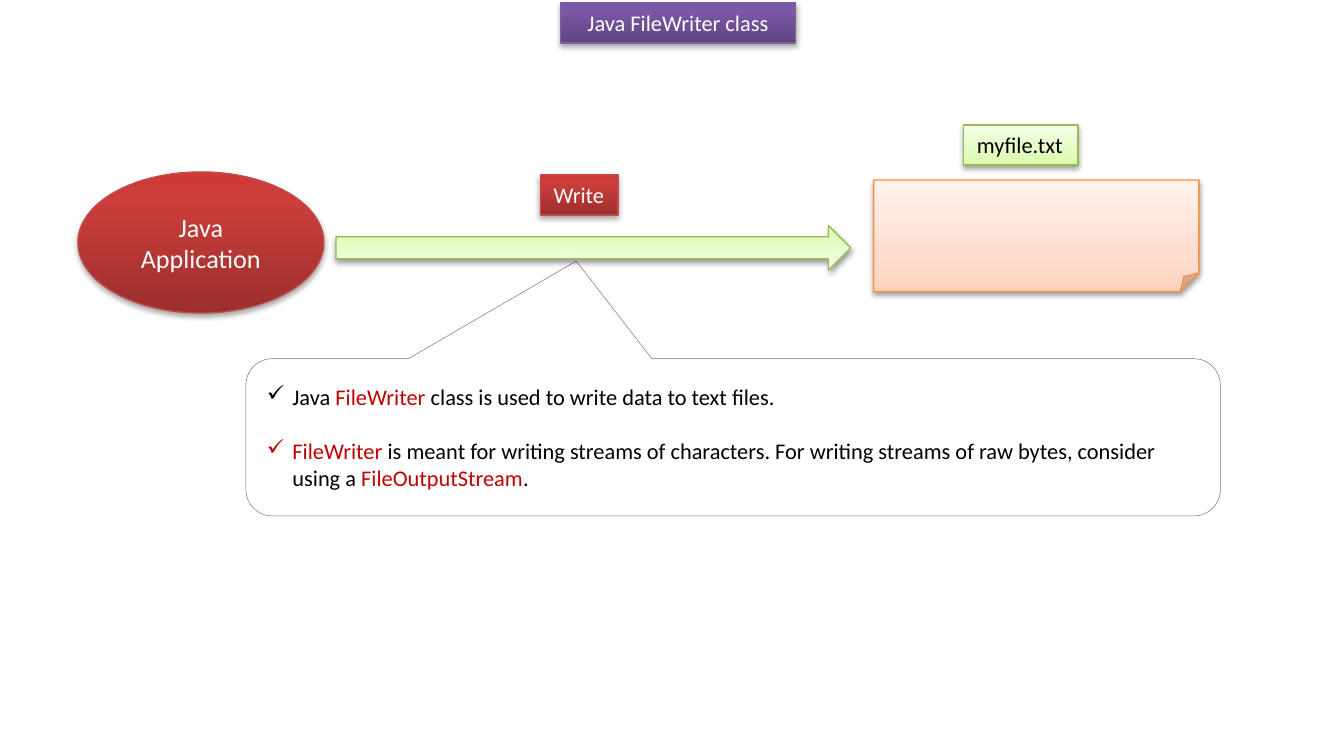
from dataclasses import dataclass

from lxml import etree
from pptx import Presentation
from pptx import util as u
from pptx.dml.color import RGBColor
from pptx.enum import shapes, text
from pptx.oxml import ns


@dataclass(frozen=True)
class Skin:
    stops: tuple
    edge: str
    ink: str
    alpha: int
    dist: float


@dataclass(frozen=True)
class Theme:
    font: str = "Calibri"
    body: int = 12
    large: int = 14
    black: str = "000000"
    white: str = "FFFFFF"
    key: str = "C00000"
    frame: str = "8064A2"
    violet: Skin = Skin(((0, "5F4480"), (80, "7B58A6"), (100, "7C57A8")),
                        "7D60A0", "FFFFFF", 35, 1.8)
    red: Skin = Skin(((0, "9C2F2D"), (80, "CB3E3A"), (100, "CE3B37")),
                     "BF4C48", "FFFFFF", 35, 1.8)
    green: Skin = Skin(((0, "DAFDA7"), (35, "E4FCC2"), (100, "F5FFE7")),
                       "98B955", "000000", 38, 1.6)
    peach: Skin = Skin(((0, "FFD2BD"), (35, "FFDED0"), (100, "FFF2ED")),
                       "F69240", "000000", 38, 1.6)


THEME = Theme()
KIND = shapes.MSO_SHAPE
ALIGN = text.PP_ALIGN
ANCHOR = text.MSO_ANCHOR
SIZING = text.MSO_AUTO_SIZE


def add_node(parent, tag, **attrs):
    node = etree.SubElement(parent, ns.qn(tag))
    for key, value in attrs.items():
        node.set(key, str(value))
    return node


def add_color(parent, color, alpha=100):
    node = add_node(parent, "a:srgbClr", val=color)
    if alpha < 100:
        add_node(node, "a:alpha", val=alpha * 1000)


def set_edge(shape, color, width):
    shape.line.color.rgb = RGBColor.from_string(color)
    shape.line.width = u.Pt(width)


def set_skin(shape, skin, angle=90):
    shape.fill.gradient()
    shape.fill.gradient_angle = angle
    stops = shape.element.xpath("./p:spPr/a:gradFill/a:gsLst")[0]
    for old in list(stops):
        stops.remove(old)
    for pos, color in skin.stops:
        add_color(add_node(stops, "a:gs", pos=pos * 1000), color)
    set_edge(shape, skin.edge, 0.75)
    shape.shadow.inherit = False
    effects = shape.element.xpath("./p:spPr/a:effectLst")[0]
    shade = add_node(effects, "a:outerShdw", blurRad=u.Pt(3.1),
                     dist=u.Pt(skin.dist), dir=5400000, rotWithShape=0)
    add_color(shade, THEME.black, skin.alpha)


def add_run(para, words, color, size):
    run = para.add_run()
    run.text = words
    run.font.name = THEME.font
    run.font.size = u.Pt(size)
    run.font.color.rgb = RGBColor.from_string(color)


def add_shape(slide, kind, box):
    return slide.shapes.add_shape(kind, *map(u.Inches, box))


def add_art(slide, kind, box, skin, angle=90):
    shape = add_shape(slide, kind, box)
    set_skin(shape, skin, angle)
    return shape


def set_label(shape, words, skin, size, align, anchor, wrap=True):
    frame = shape.text_frame
    frame.word_wrap = wrap
    frame.vertical_anchor = anchor
    para = frame.paragraphs[0]
    para.alignment = align
    add_run(para, words, skin.ink, size)


def set_title(slide, words, box, skin):
    title = slide.shapes.title
    title.left, title.top, title.width, title.height = map(u.Inches, box)
    set_skin(title, skin)
    set_label(title, words, skin, THEME.body, ALIGN.CENTER, ANCHOR.MIDDLE)
    title.text_frame.auto_size = SIZING.NONE


def add_tag(slide, words, box, skin):
    tag = add_art(slide, KIND.RECTANGLE, box, skin)
    set_label(tag, words, skin, THEME.body, ALIGN.LEFT, ANCHOR.TOP, False)
    tag.text_frame.auto_size = SIZING.SHAPE_TO_FIT_TEXT


def set_bullet(para, mark):
    props = para._p.get_or_add_pPr()
    props.set("marL", str(u.Inches(0.19)))
    props.set("indent", str(-u.Inches(0.19)))
    add_node(props, "a:buChar", char=mark)


def add_note(slide, box, tail, items):
    note = add_shape(slide, KIND.ROUNDED_RECTANGULAR_CALLOUT, box)
    for index, value in enumerate(tail):
        note.adjustments[index] = value
    note.shadow.inherit = False
    note.fill.solid()
    note.fill.fore_color.rgb = RGBColor.from_string(THEME.white)
    set_edge(note, THEME.frame, 0.25)
    frame = note.text_frame
    frame.word_wrap = True
    frame.vertical_anchor = ANCHOR.MIDDLE
    for index, runs in enumerate(items):
        para = frame.add_paragraph() if index else frame.paragraphs[0]
        set_bullet(para, "✓")
        para.alignment = ALIGN.LEFT
        if index:
            para.space_before = u.Pt(14.6)
        for words, color in runs:
            add_run(para, words, color, THEME.body)


def main():
    deck = Presentation()
    deck.slide_width, deck.slide_height = u.Inches(10), u.Inches(5.5)
    slide = deck.slides.add_slide(deck.slide_layouts[5])

    set_title(slide, "Java FileWriter class", (4.17, 0.02, 1.75, 0.3),
              THEME.violet)
    add_art(slide, KIND.FOLDED_CORNER, (6.5, 1.34, 2.42, 0.83), THEME.peach)
    add_tag(slide, "myfile.txt", (7.17, 0.93, 0.85, 0.3), THEME.green)
    app = add_art(slide, KIND.OVAL, (0.58, 1.28, 1.83, 1.05), THEME.red)
    set_label(app, "Java Application", THEME.red, THEME.large,
              ALIGN.CENTER, ANCHOR.MIDDLE)
    add_note(slide, (1.83, 2.67, 7.25, 1.17), (-0.161, -1.121, 0.167), [
        [("Java ", THEME.black), ("FileWriter ", THEME.key),
         ("class is used to write data to text files.", THEME.black)],
        [("FileWriter", THEME.key),
         (" is meant for writing streams of characters. For writing streams "
          "of raw bytes, consider using a ", THEME.black),
         ("FileOutputStream", THEME.key), (".", THEME.black)],
    ])
    add_tag(slide, "Write", (4.02, 1.3, 0.58, 0.3), THEME.red)
    add_art(slide, KIND.RIGHT_ARROW, (2.5, 1.68, 3.83, 0.33), THEME.green, 270)

    deck.save("out.pptx")


if __name__ == "__main__":
    main()
